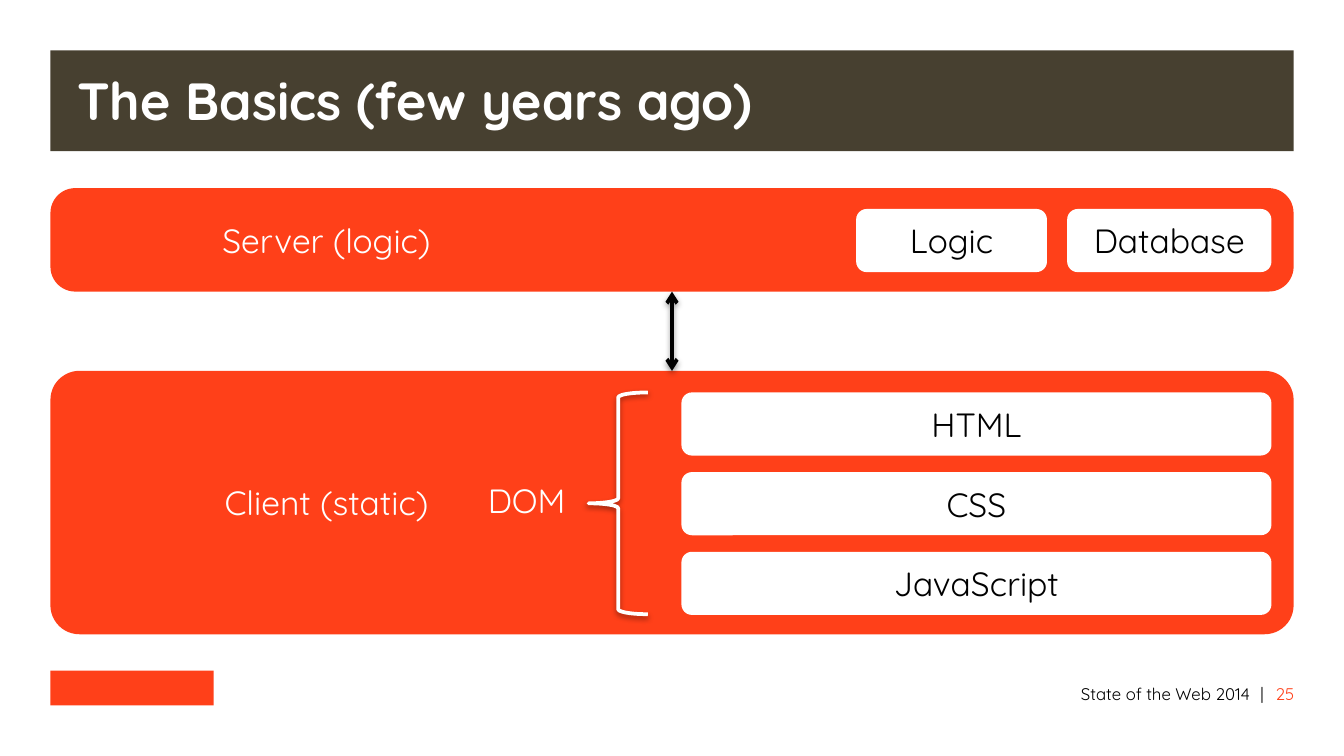
"""Builds a slide on the server and client basics of the web."""
from lxml.etree import SubElement
from pptx import Presentation
from pptx.dml.color import RGBColor
from pptx.enum.shapes import MSO_CONNECTOR as CONNECTOR, MSO_SHAPE as SHAPE
from pptx.enum.text import MSO_ANCHOR as ANCHOR, PP_ALIGN as ALIGN
from pptx.oxml.ns import qn
from pptx.util import Inches, Pt

COLORS = {"brand": "FF4019", "title": "474030", "white": "FFFFFF", "black": "000000"}
FONT = "Quicksand"

presentation = Presentation()
presentation.slide_width = Inches(10)
presentation.slide_height = Inches(5.625)
COLUMN = presentation.slide_width / 100
ROW = presentation.slide_height / 56.25
slide = presentation.slides.add_slide(presentation.slide_layouts[6])


def add_box(place, text="", kind=None, fill=None, color="white", size=18, bold=False,
            align=ALIGN.CENTER, anchor=ANCHOR.MIDDLE, spacing=None, insets=(1, 0.5, 1, 0.5)):
    """Adds a shape, or a text box when no kind is given, placed in columns and rows."""
    bounds = [int(value * unit) for value, unit in zip(place, (COLUMN, ROW) * 2)]
    if kind is None:
        shape = slide.shapes.add_textbox(*bounds)
    else:
        shape = slide.shapes.add_shape(kind, *bounds)
        shape.shadow.inherit = False
        shape.line.fill.background()
        if fill:
            shape.fill.solid()
            shape.fill.fore_color.rgb = RGBColor.from_string(COLORS[fill])
        else:
            shape.fill.background()
    if text:
        frame = shape.text_frame
        left, top, right, bottom = insets
        frame_format = {"word_wrap": True, "vertical_anchor": anchor,
                        "margin_left": int(left * COLUMN), "margin_top": int(top * ROW),
                        "margin_right": int(right * COLUMN), "margin_bottom": int(bottom * ROW)}
        for name, value in frame_format.items():
            setattr(frame, name, value)
        paragraph = frame.paragraphs[0]
        paragraph.alignment = align
        paragraph.line_spacing = spacing and Pt(spacing)
        run = paragraph.add_run()
        run.text = text
        for name, value in {"name": FONT, "size": Pt(size), "bold": bold}.items():
            setattr(run.font, name, value)
        run.font.color.rgb = RGBColor.from_string(COLORS[color])
    return shape


def add_outline(shape, color):
    """Gives a brace or connector its line and soft shadow."""
    shape.line.color.rgb = RGBColor.from_string(COLORS[color])
    shape.line.width = Pt(2)
    properties = shape._element.spPr
    effects = properties.find(qn("a:effectLst"))
    if effects is None:
        effects = SubElement(properties, qn("a:effectLst"))
    shadow = SubElement(effects, qn("a:outerShdw"), blurRad=str(Pt(3.1)), dist=str(Pt(1.6)),
                        dir="5400000", rotWithShape="0")
    tint = SubElement(shadow, qn("a:srgbClr"), val=COLORS["black"])
    SubElement(tint, qn("a:alpha"), val="38000")


MARGIN, WIDTH = 3.75, 92.5
RIGHT = 94.6
footer = {"size": 9, "spacing": 14, "anchor": ANCHOR.TOP, "insets": (0, 0, 0, 0)}
add_box((93, 50.4, 1.8, 2.1), "|", color="black", **footer)
add_box((MARGIN, 49.9, 12.15, 2.6), kind=SHAPE.RECTANGLE, fill="brand")
add_box((MARGIN, MARGIN, WIDTH, 7.5), "The Basics (few years ago)", SHAPE.RECTANGLE, "title",
        size=28, bold=True, align=ALIGN.LEFT, spacing=32, insets=(2, 0, 2, 0))
add_box((93.9, 50.4, 2.4, 2.1), "25", color="brand", align=ALIGN.RIGHT, **footer)
add_box((20.6, 50.4, 72.4, 2.1), "State of the Web 2014", color="black",
        align=ALIGN.RIGHT, **footer)

tiers = []
for text, top, height, rounding in [("Server (logic)", 14, 7.7, 0.24),
                                    ("Client (static)", 27.6, 19.6, 0.11)]:
    tier = add_box((MARGIN, top, WIDTH, height), text, SHAPE.ROUNDED_RECTANGLE, "brand",
                   insets=(1, 0.5, 52.4, 0.5))
    tier.adjustments[0] = rounding
    tiers.append(tier)
server, client = tiers

arrow = slide.shapes.add_connector(CONNECTOR.STRAIGHT, 0, 0, 0, 0)
arrow.begin_connect(server, 2)
arrow.end_connect(client, 0)
add_outline(arrow, "black")
for end in ("a:headEnd", "a:tailEnd"):
    SubElement(arrow.line._get_or_add_ln(), qn(end), type="arrow")

parts = [(text, 29.2 + 5.93 * index, 43.9, RIGHT)
         for index, text in enumerate(["HTML", "CSS", "JavaScript"])]
parts += [("Database", 15.55, 15.2, RIGHT), ("Logic", 15.55, 14.2, RIGHT - 16.7)]
for text, top, width, right in parts:
    add_box((right - width, top, width, 4.7), text, SHAPE.ROUNDED_RECTANGLE, "white", "black")

brace = add_box((43.8, 29.2, 4.4, 16.5), kind=SHAPE.LEFT_BRACE)
add_outline(brace, "white")
add_box((35.9, 35, 8.3, 4.3), "DOM", align=ALIGN.LEFT, anchor=ANCHOR.TOP, spacing=24,
        insets=(0.4, 0.4, 0.4, 0.4))

presentation.save("out.pptx")
